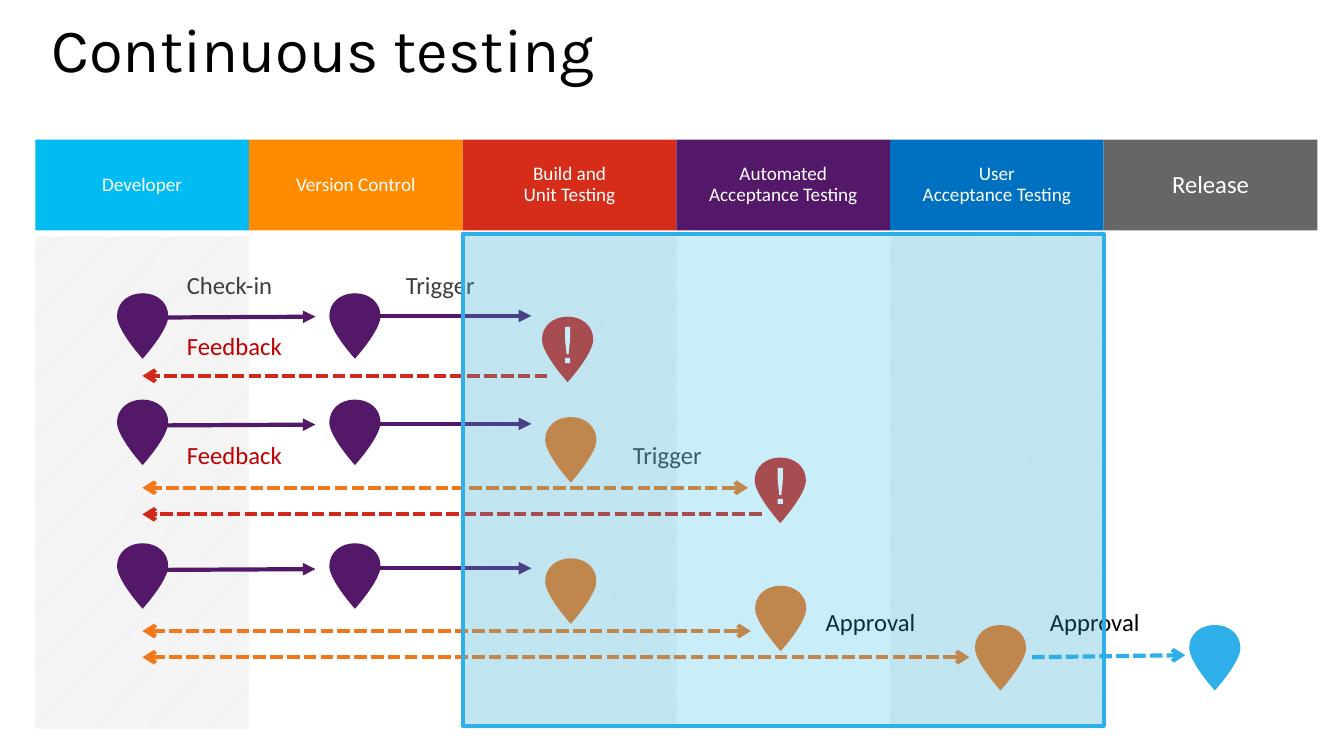
from dataclasses import dataclass
from typing import Optional

import pptx
import pptx.dml.color
import pptx.enum.dml
import pptx.enum.shapes
import pptx.enum.text
import pptx.oxml
import pptx.oxml.ns
import pptx.util

Cm = pptx.util.Cm
RGB = pptx.dml.color.RGBColor
new_element = pptx.oxml.xmlchemy.OxmlElement


@dataclass(frozen=True)
class Theme:
    """Colours, fonts and sizes of the slide."""
    white: RGB = RGB(0xFF, 0xFF, 0xFF)
    black: RGB = RGB(0, 0, 0)
    stripe: RGB = RGB(0xF2, 0xF2, 0xF2)
    cyan: RGB = RGB(0x00, 0xBC, 0xF2)
    amber: RGB = RGB(0xFF, 0x8C, 0x00)
    brick: RGB = RGB(0xD5, 0x2D, 0x1A)
    purple: RGB = RGB(0x54, 0x18, 0x68)
    blue: RGB = RGB(0x00, 0x70, 0xC0)
    grey: RGB = RGB(0x66, 0x66, 0x66)
    charcoal: RGB = RGB(0x3F, 0x3F, 0x3F)
    feedback: RGB = RGB(0xC0, 0x00, 0x00)
    failed: RGB = RGB(0xD1, 0x28, 0x1C)
    passed: RGB = RGB(0xF1, 0x77, 0x19)
    released: RGB = RGB(0x2F, 0xAF, 0xE9)
    focus: RGB = RGB(0x2B, 0xB8, 0xEB)
    title_font: str = "Karla"
    body_font: str = "Calibri"
    title_size: float = 44
    stage_size: float = 13.7
    label_size: float = 17.6
    line_width: float = 3


THEME = Theme()


@dataclass(frozen=True)
class Stage:
    """A column of the pipeline."""
    name: str
    color: RGB
    size: float = THEME.stage_size


@dataclass(frozen=True)
class Pin:
    """A drop-shaped marker, placed by its top left corner in cm."""
    left: float
    top: float
    color: RGB
    alert: bool = False


@dataclass(frozen=True)
class Arrow:
    """A line between two points in cm, with optional heads."""
    x1: float
    y1: float
    x2: float
    y2: float
    color: RGB
    dashed: bool = True
    head: Optional[str] = None
    tail: str = "arrow"


@dataclass(frozen=True)
class Label:
    """A one-line caption in cm."""
    text: str
    left: float
    top: float
    width: float
    color: RGB


STAGES = (
    Stage("Developer", THEME.cyan),
    Stage("Version Control", THEME.amber),
    Stage("Build and\vUnit Testing", THEME.brick),
    Stage("Automated Acceptance Testing", THEME.purple),
    Stage("User\vAcceptance Testing", THEME.blue),
    Stage("Release", THEME.grey, THEME.label_size),
)
STAGE_LEFT, STAGE_WIDTH = 0.89, 32.31 / len(STAGES)
HEADER_TOP, HEADER_HEIGHT = 3.52, 2.29
LANE_TOP, LANE_HEIGHT = 5.96, 12.4
PIN_WIDTH, PIN_HEIGHT, MARK_WIDTH = 1.29, 1.65, 0.13
DEVELOPER_X = 3.59
# Two control points and an end point per curve, as fractions of the pin's size
PIN_START = (1, .35)
PIN_CURVES = (
    ((1, .57), (.5, 1), (.5, 1)),
    ((.5, 1), (0, .57), (0, .35)),
    ((0, .14), (.22, 0), (.5, 0)),
    ((.78, 0), (1, .14), PIN_START),
)
# Pin top and arrow height of each check-in
CHECK_INS = ((7.39, 7.96), (10.07, 10.68), (13.69, 14.32))
RESULT_PINS = (
    Pin(13.66, 7.98, THEME.failed, alert=True),
    Pin(13.74, 10.51, THEME.passed),
    Pin(19.02, 11.53, THEME.failed, alert=True),
    Pin(13.74, 14.07, THEME.passed),
    Pin(19.03, 14.76, THEME.passed),
    Pin(24.57, 15.75, THEME.passed),
)
# Start x, height and outcome of each line back to the developer
FEEDBACK_LINES = (
    (13.79, 9.47, False), (18.85, 12.29, True), (19.2, 12.96, False),
    (18.92, 15.9, True), (24.43, 16.56, True),
)
LABELS = (
    Label("Check-in", 4.2, 6.55, 3.43, THEME.charcoal),
    Label("Trigger", 9.72, 6.55, 3.0, THEME.charcoal),
    Label("Feedback", 4.2, 8.08, 3.63, THEME.feedback),
    Label("Trigger", 15.44, 10.83, 3.0, THEME.charcoal),
    Label("Feedback", 4.2, 10.83, 3.63, THEME.feedback),
    Label("Approval", 20.3, 15.04, 3.51, THEME.black),
    Label("Approval", 25.95, 15.04, 3.51, THEME.black),
)


def paint(shape, color: RGB) -> None:
    """Give a shape a flat fill without outline or shadow."""
    shape.shadow.inherit = False
    shape.fill.solid()
    shape.fill.fore_color.rgb = color
    shape.line.fill.background()


def add_block(shapes, left: float, top: float, width: float, height: float, color: RGB):
    """Add a plain rectangle."""
    block = shapes.add_shape(pptx.enum.shapes.MSO_SHAPE.RECTANGLE,
                             Cm(left), Cm(top), Cm(width), Cm(height))
    paint(block, color)
    return block


def add_outline(shapes, points: list, color: RGB):
    """Add a filled polygon through points given in cm."""
    corners = [(Cm(x), Cm(y)) for x, y in points]
    builder = shapes.build_freeform(*corners[0])
    builder.add_line_segments(corners[1:], close=True)
    outline = builder.convert_to_shape()
    paint(outline, color)
    return outline


def write(frame, text: str, font: str, size: float, color: RGB, spacing: float = 0.9):
    """Put one styled paragraph in a text frame and return it."""
    paragraph = frame.paragraphs[0]
    paragraph.text = text
    paragraph.line_spacing = spacing
    paragraph.font.name, paragraph.font.size = font, pptx.util.Pt(size)
    paragraph.font.color.rgb = color
    return paragraph


def set_insets(frame) -> None:
    """Apply the wide margins shared by headers and labels."""
    frame.margin_left = frame.margin_right = Cm(0.51)
    frame.margin_top = frame.margin_bottom = Cm(0.41)


def add_title(shapes, text: str) -> None:
    """Add the slide title."""
    frame = shapes.add_textbox(Cm(1.05), Cm(0.51), Cm(32), Cm(2.95)).text_frame
    frame.word_wrap = True
    write(frame, text, THEME.title_font, THEME.title_size, THEME.black, 0.8)


def add_stage(shapes, index: int, stage: Stage) -> None:
    """Add a stage's lane, striped in every other column, and its header."""
    left = STAGE_LEFT + index * STAGE_WIDTH
    lane = add_block(shapes, left, LANE_TOP, STAGE_WIDTH, LANE_HEIGHT, THEME.white)
    if index % 2 == 0:
        lane.fill.patterned()
        lane.fill.pattern = pptx.enum.dml.MSO_PATTERN.DARK_UPWARD_DIAGONAL
        lane.fill.fore_color.rgb = THEME.white
        lane.fill.back_color.rgb = THEME.stripe
    header = add_block(shapes, left, HEADER_TOP, STAGE_WIDTH, HEADER_HEIGHT, stage.color)
    frame = header.text_frame
    frame.word_wrap = True
    frame.vertical_anchor = pptx.enum.text.MSO_ANCHOR.MIDDLE
    set_insets(frame)
    name = write(frame, stage.name, THEME.body_font, stage.size, THEME.white)
    name.alignment = pptx.enum.text.PP_ALIGN.CENTER


def add_label(shapes, label: Label) -> None:
    """Add a caption that does not wrap."""
    frame = shapes.add_textbox(Cm(label.left), Cm(label.top), Cm(label.width), Cm(1.47)).text_frame
    frame.word_wrap = False
    frame.auto_size = pptx.enum.text.MSO_AUTO_SIZE.SHAPE_TO_FIT_TEXT
    set_insets(frame)
    caption = write(frame, label.text, THEME.body_font, THEME.label_size, label.color)
    caption.space_after = pptx.util.Pt(5.9)


def add_pin(shapes, pin: Pin) -> None:
    """Add a curved pin; an alert pin is a group with an exclamation mark."""
    target = shapes.add_group_shape().shapes if pin.alert else shapes
    anchors = [PIN_START] + [curve[-1] for curve in PIN_CURVES]
    drop = add_outline(target, [(pin.left + x * PIN_WIDTH, pin.top + y * PIN_HEIGHT)
                                for x, y in anchors], pin.color)
    sides = drop._element.findall(".//" + pptx.oxml.ns.qn("a:lnTo"))
    for side, curve in zip(sides, PIN_CURVES):
        bend = new_element("a:cubicBezTo")
        for x, y in curve:
            point = new_element("a:pt")
            point.set("x", str(Cm(x * PIN_WIDTH)))
            point.set("y", str(Cm(y * PIN_HEIGHT)))
            bend.append(point)
        side.getparent().replace(side, bend)
    if pin.alert:
        left = pin.left + (PIN_WIDTH - MARK_WIDTH) / 2
        stroke = ((0, 0), (0, .3), (.04, .69), (.09, .69), (MARK_WIDTH, .3), (MARK_WIDTH, 0))
        add_outline(target, [(left + x, pin.top + 0.26 + y) for x, y in stroke], THEME.white)
        add_block(target, left, pin.top + 1.04, MARK_WIDTH, MARK_WIDTH, THEME.white)


def add_arrow(shapes, arrow: Arrow) -> None:
    """Add a connector with its dash and arrowheads."""
    link = shapes.add_connector(pptx.enum.shapes.MSO_CONNECTOR.STRAIGHT,
                                Cm(arrow.x1), Cm(arrow.y1), Cm(arrow.x2), Cm(arrow.y2))
    link.line.color.rgb = arrow.color
    link.line.width = pptx.util.Pt(THEME.line_width)
    if arrow.dashed:
        link.line.dash_style = pptx.enum.dml.MSO_LINE.SQUARE_DOT
    for tag, kind in (("a:headEnd", arrow.head), ("a:tailEnd", arrow.tail)):
        if kind:
            end = new_element(tag)
            end.set("type", kind)
            link.line._get_or_add_ln().append(end)
    link._element.spPr.append(new_element("a:effectLst"))


def add_focus(shapes) -> None:
    """Add the translucent frame over the three testing stages."""
    focus = add_block(shapes, STAGE_LEFT + 2 * STAGE_WIDTH, 5.89,
                      3 * STAGE_WIDTH, LANE_HEIGHT, THEME.focus)
    alpha = new_element("a:alpha")
    alpha.set("val", "25000")
    focus._element.spPr.find(".//" + pptx.oxml.ns.qn("a:srgbClr")).append(alpha)
    focus.line.color.rgb = THEME.released
    focus.line.width = pptx.util.Pt(THEME.line_width)


def main() -> None:
    """Build the slide and save it."""
    deck = pptx.Presentation()
    deck.slide_width, deck.slide_height = Cm(33.87), Cm(19.05)
    shapes = deck.slides.add_slide(deck.slide_layouts[6]).shapes
    for index, stage in enumerate(STAGES):
        add_stage(shapes, index, stage)
    add_title(shapes, "Continuous testing")
    for label in LABELS:
        add_label(shapes, label)
    for top, y in CHECK_INS:
        for left in (2.95, 8.3):
            add_pin(shapes, Pin(left, top, THEME.purple))
        add_arrow(shapes, Arrow(4.19, y + 0.04, 7.95, y + 0.02, THEME.purple, False, tail="triangle"))
        add_arrow(shapes, Arrow(9.47, y, 13.39, y, THEME.purple, False, tail="triangle"))
    for pin in RESULT_PINS:
        add_pin(shapes, pin)
    for start, y, passed in FEEDBACK_LINES:
        color = THEME.passed if passed else THEME.failed
        add_arrow(shapes, Arrow(start, y, DEVELOPER_X, y, color, head="arrow" if passed else None))
    add_focus(shapes)
    add_arrow(shapes, Arrow(26.01, 16.56, 29.87, 16.51, THEME.released))
    add_pin(shapes, Pin(29.97, 15.75, THEME.released))
    deck.save("out.pptx")


main()
